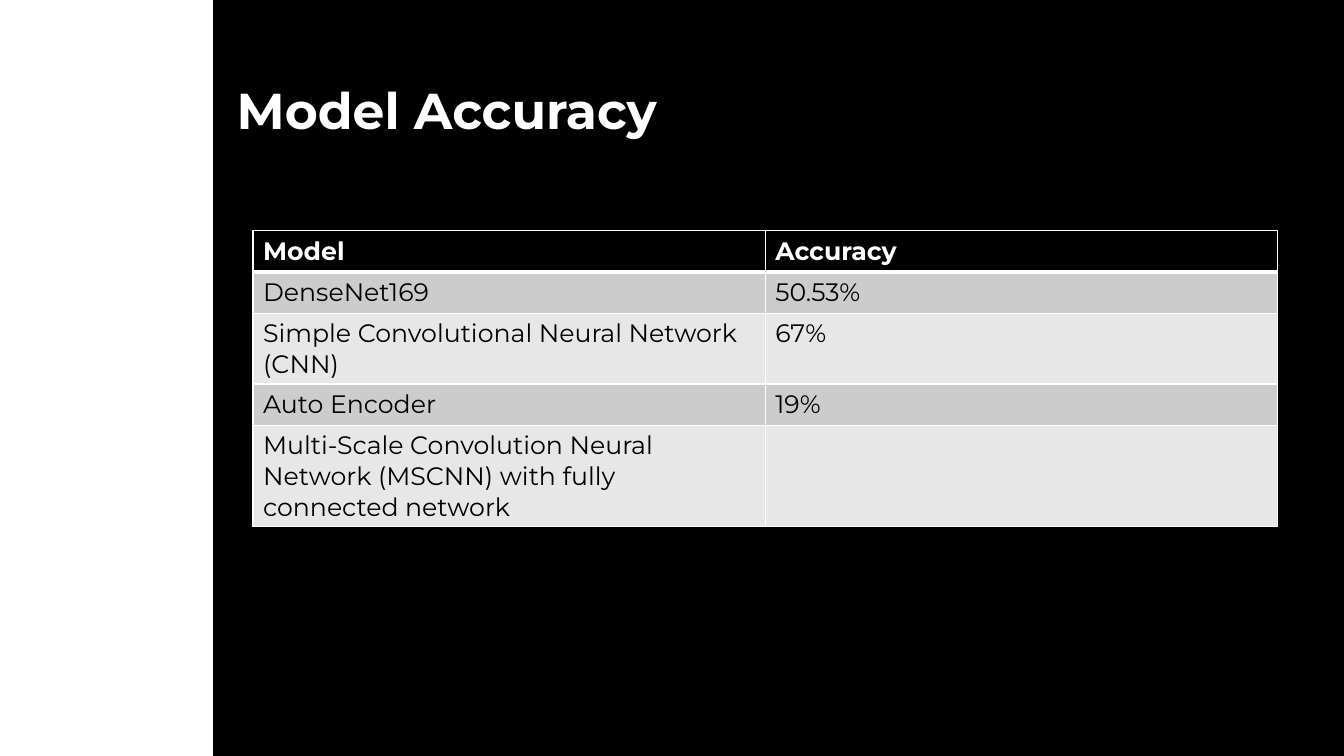
from lxml import etree
from pptx import Presentation
from pptx.dml.color import RGBColor
from pptx.enum.shapes import MSO_SHAPE as Shape
from pptx.enum.text import MSO_ANCHOR as Anchor
from pptx.oxml.ns import qn
from pptx.util import Inches, Pt

BLACK = RGBColor(0x00, 0x00, 0x00)
WHITE = RGBColor(0xFF, 0xFF, 0xFF)
DARK_BAND = RGBColor(0xCC, 0xCC, 0xCC)
LIGHT_BAND = RGBColor(0xE7, 0xE7, 0xE7)
FONT = "Montserrat"

ROWS = [
    ("Model", "Accuracy"),
    ("DenseNet169", "50.53%"),
    ("Simple Convolutional Neural Network (CNN)", "67%"),
    ("Auto Encoder", "19%"),
    ("Multi-Scale Convolution Neural Network (MSCNN) with fully connected network", ""),
]


def style_text(paragraph, size, color, bold):
    font = paragraph.font if not paragraph.runs else paragraph.runs[0].font
    font.name, font.size, font.bold = FONT, Pt(size), bold
    font.color.rgb = color


def add_border(cell, side, width):
    properties = cell._tc.get_or_add_tcPr()
    line = etree.SubElement(properties, qn(f"a:ln{side}"), w=str(Pt(width)))
    fill = etree.SubElement(line, qn("a:solidFill"))
    etree.SubElement(fill, qn("a:srgbClr"), val=str(WHITE))


presentation = Presentation()
presentation.slide_width, presentation.slide_height = Inches(13.33), Inches(7.5)
slide = presentation.slides.add_slide(presentation.slide_layouts[6])

# Black panel, leaving a white strip on the left
panel_left = Inches(2.12)
panel = slide.shapes.add_shape(
    Shape.RECTANGLE, panel_left, 0,
    presentation.slide_width - panel_left, presentation.slide_height)
panel.shadow.inherit = False
panel.fill.solid()
panel.fill.fore_color.rgb = BLACK
panel.line.color.rgb = BLACK
panel.line.width = Pt(1)

# Title
content_width = Inches(10.16)
title = slide.shapes.add_textbox(Inches(2.25), Inches(0.4), content_width, Inches(1.45))
title_frame = title.text_frame
title_frame.word_wrap = True
title_frame.vertical_anchor = Anchor.MIDDLE
title_frame.text = "Model Accuracy"
title_frame.paragraphs[0].line_spacing = 0.9
style_text(title_frame.paragraphs[0], 36, WHITE, True)

# Accuracy table: black header, then alternating grey bands
row_height = Inches(0.41)
table = slide.shapes.add_table(
    len(ROWS), len(ROWS[0]), Inches(2.51), Inches(2.29),
    content_width, row_height * len(ROWS)).table

for row_index, values in enumerate(ROWS):
    is_header = row_index == 0
    band = DARK_BAND if row_index % 2 else LIGHT_BAND
    for column_index, value in enumerate(values):
        cell = table.cell(row_index, column_index)
        cell.text = value
        style_text(cell.text_frame.paragraphs[0], 18,
                   WHITE if is_header else BLACK, is_header)
        # The rule between header and body is heavier
        top_width = 3 if row_index == 1 else 1
        bottom_width = 3 if is_header else 1
        for side, width in zip("LRTB", (1, 1, top_width, bottom_width)):
            add_border(cell, side, width)
        cell.fill.solid()
        cell.fill.fore_color.rgb = BLACK if is_header else band

presentation.save("out.pptx")
